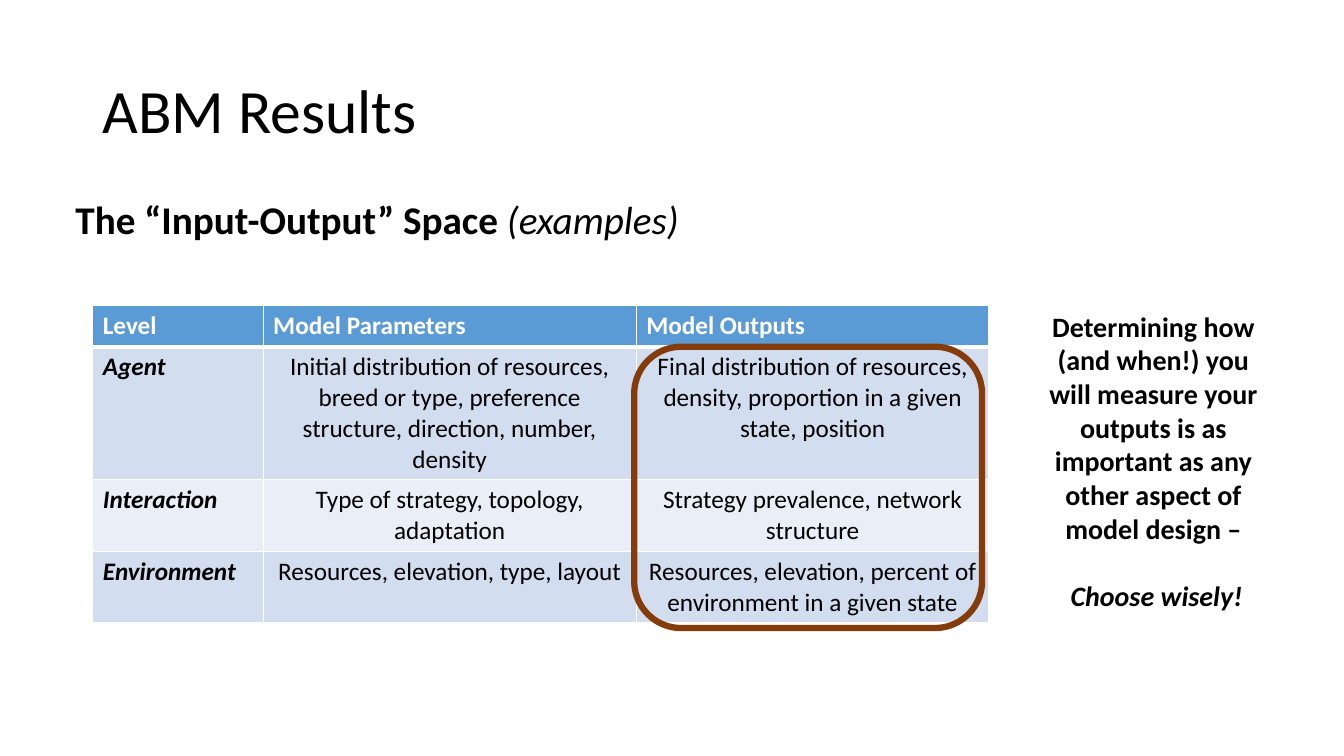
import pptx
import pptx.util
import pptx.dml.color
import pptx.enum.shapes
import pptx.enum.text
import pptx.oxml
import pptx.oxml.ns
from pptx.util import Inches

HUES = {
    "ink": "000000",
    "white": "FFFFFF",
    "head": "5B9BD5",
    "dark": "D2DEEF",
    "light": "EAEFF7",
    "ring": "843C0B",
}
ROWS = [
    ["Level", "Model Parameters", "Model Outputs"],
    ["Agent",
     "Initial distribution of resources, breed or type, preference structure, direction, number, density",
     "Final distribution of resources, density, proportion in a given state, position"],
    ["Interaction", "Type of strategy, topology, adaptation",
     "Strategy prevalence, network structure"],
    ["Environment", "Resources, elevation, type, layout",
     "Resources, elevation, percent of environment in a given state"],
]
ADVICE = ("Determining how (and when!) you will measure your outputs is as "
          "important as any other aspect of model design –")
MID = pptx.enum.text.PP_ALIGN.CENTER
LEFT = pptx.enum.text.PP_ALIGN.LEFT


class Deck:
    font = "Calibri"

    def __init__(self):
        self.show = pptx.Presentation()
        self.show.slide_width = Inches(13.33)
        self.show.slide_height = Inches(7.5)
        self.slide = self.show.slides.add_slide(self.show.slide_layouts[6])

    def hue(self, name):
        return pptx.dml.color.RGBColor.from_string(HUES[name])

    def style(self, run, size, bold=False, slant=False, hue="ink"):
        run.font.name = self.font
        run.font.size = pptx.util.Pt(size)
        run.font.bold = bold
        run.font.italic = slant
        run.font.color.rgb = self.hue(hue)

    def text(self, box, paras, size, align=LEFT, space=None, gap=0, middle=False):
        frame = self.slide.shapes.add_textbox(*map(Inches, box)).text_frame
        frame.word_wrap = True
        if middle:
            frame.vertical_anchor = pptx.enum.text.MSO_ANCHOR.MIDDLE
        for i, parts in enumerate(paras):
            para = frame.add_paragraph() if i else frame.paragraphs[0]
            para.alignment = align
            para.line_spacing = space
            para.space_before = pptx.util.Pt(gap if i else 0)
            for words, bold, slant in parts:
                run = para.add_run()
                run.text = words
                self.style(run, size, bold, slant)

    def edge(self, cell, side, width):
        line = pptx.oxml.parse_xml(
            f'<a:{side} {pptx.oxml.ns.nsdecls("a")} w="{pptx.util.Pt(width)}">'
            f'<a:solidFill><a:srgbClr val="{HUES["white"]}"/></a:solidFill></a:{side}>')
        cell._tc.get_or_add_tcPr().append(line)

    def cell(self, cell, words, row, col):
        head = row == 0
        for side in ("lnL", "lnR", "lnT", "lnB"):
            thick = (head and side == "lnB") or (row == 1 and side == "lnT")
            self.edge(cell, side, 3 if thick else 1)
        cell.fill.solid()
        cell.fill.fore_color.rgb = self.hue(
            "head" if head else "dark" if row % 2 else "light")
        cell.text_frame.text = words
        para = cell.text_frame.paragraphs[0]
        para.alignment = LEFT if head or col == 0 else MID
        self.style(para.runs[0], 18, head or col == 0, not head and col == 0,
                   "white" if head else "ink")

    def table(self, box, rows, wide, high):
        grid = self.slide.shapes.add_table(
            len(rows), len(wide), *map(Inches, box)).table
        for col, width in zip(grid.columns, wide):
            col.width = Inches(width)
        for row, height in zip(grid.rows, high):
            row.height = Inches(height)
        for i, row in enumerate(rows):
            for j, words in enumerate(row):
                self.cell(grid.cell(i, j), words, i, j)

    def ring(self, box, width):
        kind = pptx.enum.shapes.MSO_SHAPE.ROUNDED_RECTANGLE
        shape = self.slide.shapes.add_shape(kind, *map(Inches, box))
        shape.shadow.inherit = False
        shape.fill.background()
        shape.line.color.rgb = self.hue("ring")
        shape.line.width = pptx.util.Pt(width)


def main():
    deck = Deck()
    deck.text((0.92, 0.4, 11.5, 1.45), [[("ABM Results", False, False)]],
              44, space=0.9, middle=True)
    deck.text((0.65, 1.94, 10.8, 0.7),
              [[("The “Input-Output” Space ", True, False),
                ("(examples)", False, True)]], 28, space=0.9)
    deck.table((0.92, 3.03, 8.89, 3.15), ROWS,
               (1.69, 3.7, 3.5), (0.41, 1.32, 0.71, 0.71))
    deck.ring((6.29, 3.44, 3.45, 2.79), 4.5)
    deck.text((10.22, 3.02, 2.44, 3.13),
              [[(ADVICE, True, False)], [(" Choose wisely!", True, True)]],
              20, align=MID, gap=24.4)
    deck.show.save("out.pptx")


if __name__ == "__main__":
    main()
